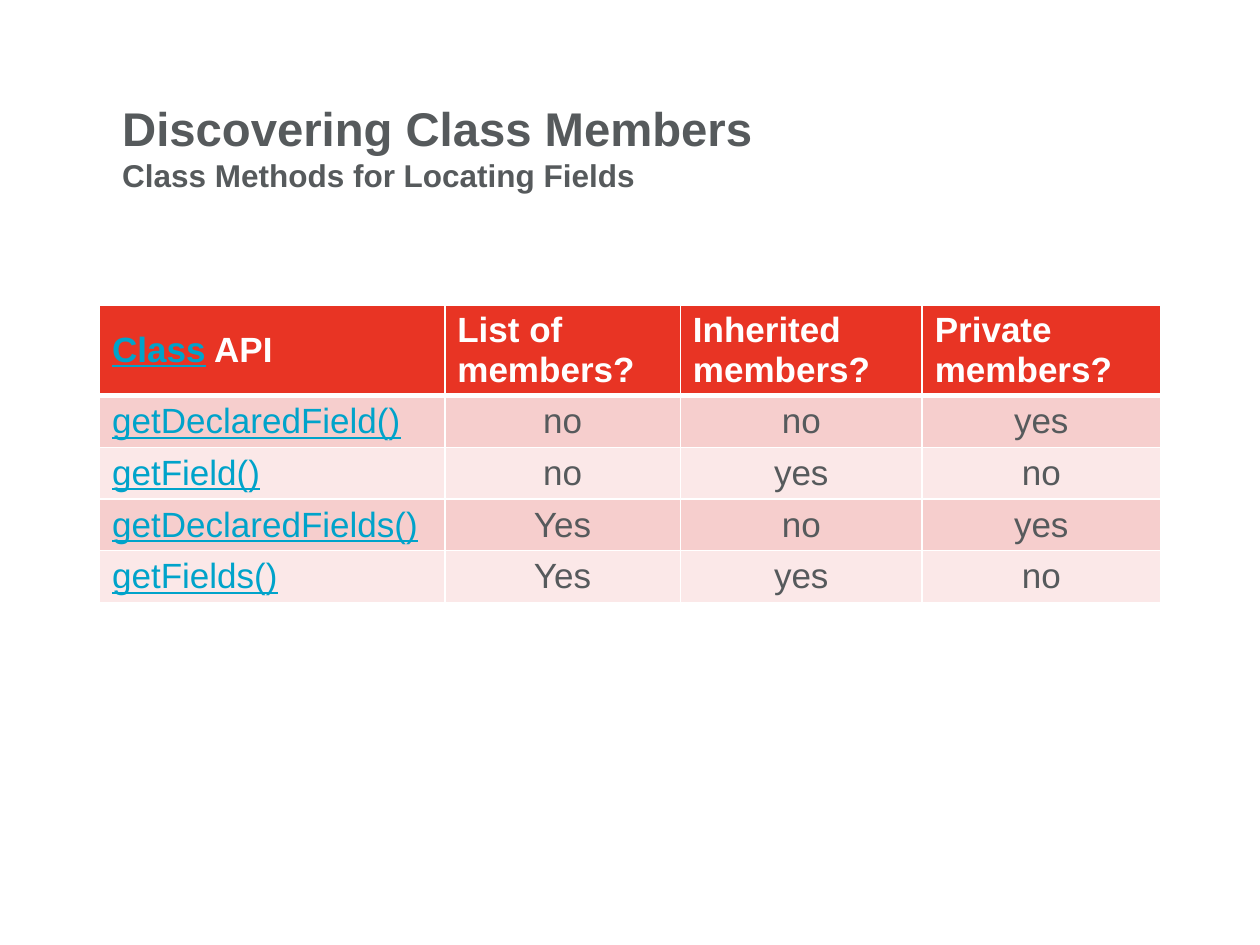
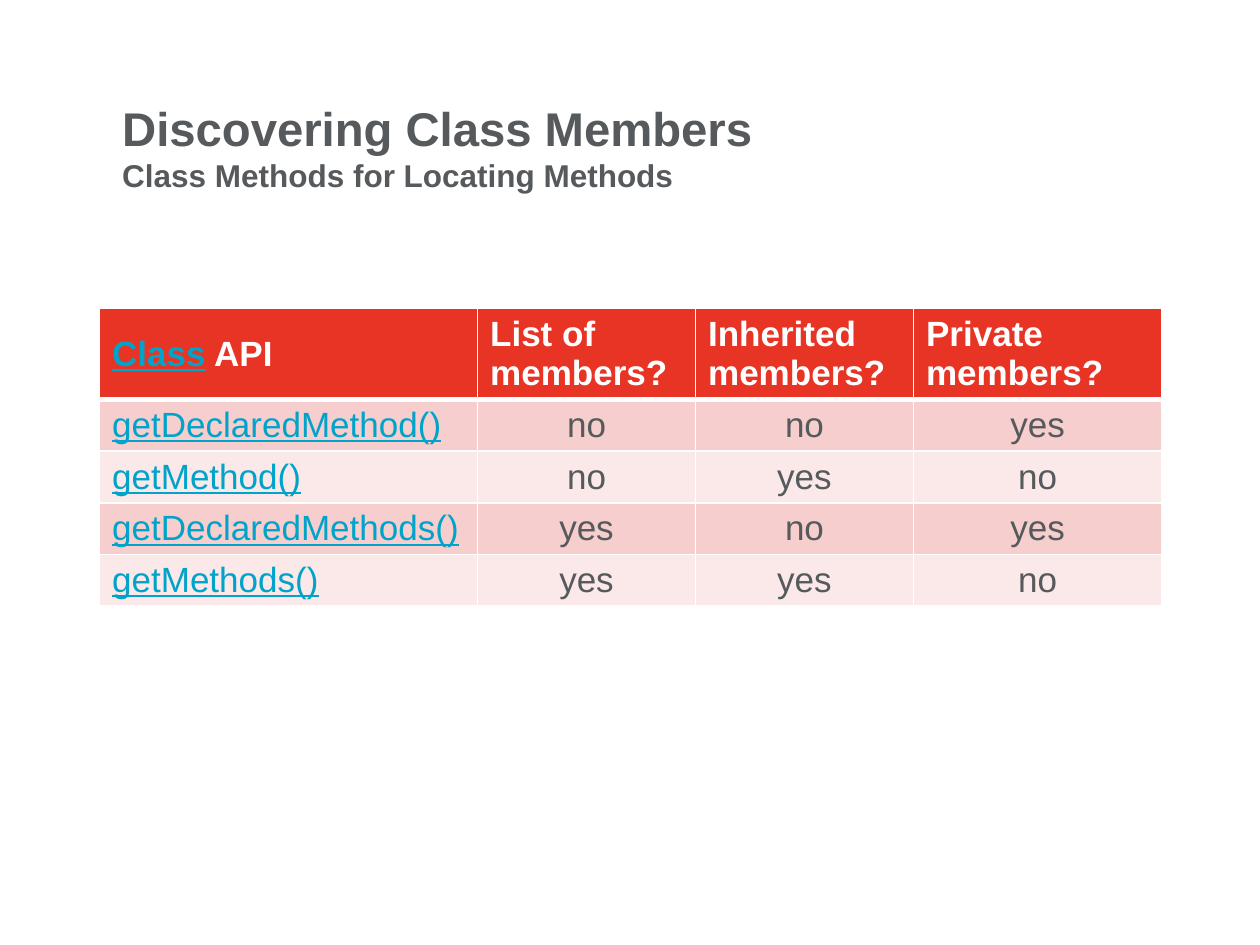
from copy import deepcopy
from dataclasses import dataclass

from lxml.etree import SubElement
from pptx import Presentation
from pptx.dml.color import RGBColor as Rgb
from pptx.enum.text import MSO_ANCHOR as Anchor, MSO_AUTO_SIZE as AutoSize, PP_ALIGN as Align
from pptx.oxml import parse_xml
from pptx.oxml.ns import nsdecls, qn
from pptx.util import Inches, Pt


@dataclass(frozen=True)
class Theme:
    """Colours, type sizes and line widths that the slides share."""
    font: str = "Arial"
    text: str = "565A5C"
    link: str = "00A3CA"
    white: str = "FFFFFF"
    header: str = "E83424"
    bands: tuple = ("F6CECD", "FBE8E8")
    title_size: int = 27
    subtitle_size: int = 18
    table_size: int = 20
    rule: int = 1
    header_rule: int = 3


THEME = Theme()
SLIDE_SIZE = (10, 7.5)
TITLE_BOX = (0.93, 0.84, 6.17, 0.65)
TABLE_LEFT = 0.79
HEADER_HEIGHT, ROW_HEIGHT = 0.71, 0.41
TITLE = "Discovering Class Members"
QUESTIONS = ("List of members?", "Inherited members?", "Private members?")

# subtitle, table top, column widths, answers for each method
FIELDS = ("Class Methods for Locating Fields", 2.42, (2.74, 1.87, 1.92, 1.89), (
    ("getDeclaredField()", "no", "no", "yes"),
    ("getField()", "no", "yes", "no"),
    ("getDeclaredFields()", "Yes", "no", "yes"),
    ("getFields()", "Yes", "yes", "no"),
))
METHODS = ("Class Methods for Locating Methods", 2.45, (3, 1.73, 1.73, 1.97), (
    ("getDeclaredMethod()", "no", "no", "yes"),
    ("getMethod()", "no", "yes", "no"),
    ("getDeclaredMethods()", "yes", "no", "yes"),
    ("getMethods()", "yes", "yes", "no"),
))


def add_run(paragraph, text, size, color, bold=False, underline=False):
    """Append one formatted run and return it."""
    run = paragraph.add_run()
    run.text = text
    font = run.font
    font.name, font.size = THEME.font, Pt(size)
    font.bold, font.underline = bold, underline
    font.color.rgb = Rgb.from_string(color)
    return run


def add_title(slide, subtitle):
    """Place the title with its smaller second line."""
    title = slide.shapes.title
    title.left, title.top, title.width, title.height = map(Inches, TITLE_BOX)
    title.fill.solid()
    title.fill.fore_color.rgb = Rgb.from_string(THEME.white)
    frame = title.text_frame
    frame.word_wrap, frame.auto_size = True, AutoSize.NONE
    frame.vertical_anchor = Anchor.MIDDLE
    frame.margin_left = Inches(0.04)
    frame.margin_top = frame.margin_right = frame.margin_bottom = 0
    heading = frame.paragraphs[0]
    heading.alignment = Align.LEFT
    add_run(heading, TITLE, THEME.title_size, THEME.text, bold=True)
    heading.add_line_break()
    second = add_run(heading, subtitle, THEME.subtitle_size, THEME.text, bold=True)
    line_break = heading._p.find(qn("a:br"))
    line_break.append(deepcopy(second._r.rPr))


def set_borders(cell, top, bottom):
    """Draw the white rules of a cell; top and bottom are widths in points."""
    properties = cell._tc.get_or_add_tcPr()
    widths = {"L": THEME.rule, "R": THEME.rule, "T": top, "B": bottom}
    for place, (side, width) in enumerate(widths.items()):
        line = parse_xml(f'<a:ln{side} {nsdecls("a")} w="{Pt(width)}"/>')
        fill = SubElement(line, qn("a:solidFill"))
        SubElement(fill, qn("a:srgbClr"), val=THEME.white)
        properties.insert(place, line)


def style_cell(cell, row):
    """Set the fill, anchor and rules that depend on the row."""
    cell.vertical_anchor = Anchor.MIDDLE
    cell.fill.solid()
    color = THEME.bands[(row - 1) % 2] if row else THEME.header
    cell.fill.fore_color.rgb = Rgb.from_string(color)
    set_borders(cell,
                top=THEME.header_rule if row == 1 else THEME.rule,
                bottom=THEME.header_rule if row == 0 else THEME.rule)


def fill_header(cells):
    """Write the header row."""
    api, *question_cells = [cell.text_frame.paragraphs[0] for cell in cells]
    add_run(api, "Class", THEME.table_size, THEME.link, bold=True, underline=True)
    add_run(api, " API", THEME.table_size, THEME.white, bold=True)
    for paragraph, question in zip(question_cells, QUESTIONS):
        add_run(paragraph, question, THEME.table_size, THEME.white, bold=True)


def fill_method(cells, method, *answers):
    """Write one method name and its centred answers."""
    name, *answer_cells = [cell.text_frame.paragraphs[0] for cell in cells]
    add_run(name, method, THEME.table_size, THEME.link, underline=True)
    for paragraph, answer in zip(answer_cells, answers):
        paragraph.alignment = Align.CENTER
        add_run(paragraph, answer, THEME.table_size, THEME.text)


def add_api_table(slide, top, widths, methods):
    """Add the table that compares the lookup methods."""
    heights = [HEADER_HEIGHT] + [ROW_HEIGHT] * len(methods)
    table = slide.shapes.add_table(
        len(heights), len(widths), Inches(TABLE_LEFT), Inches(top),
        Inches(sum(widths)), Inches(sum(heights))).table
    for column, width in zip(table.columns, widths):
        column.width = Inches(width)
    for index, (row, height) in enumerate(zip(table.rows, heights)):
        row.height = Inches(height)
        for cell in row.cells:
            style_cell(cell, index)
    header, *body = table.rows
    fill_header(header.cells)
    for row, method in zip(body, methods):
        fill_method(row.cells, *method)


def main():
    """Build both slides and save them."""
    deck = Presentation()
    deck.slide_width, deck.slide_height = map(Inches, SLIDE_SIZE)
    title_only = deck.slide_layouts[5]
    for subtitle, top, widths, methods in (FIELDS, METHODS):
        slide = deck.slides.add_slide(title_only)
        add_title(slide, subtitle)
        add_api_table(slide, top, widths, methods)
    deck.save("out.pptx")


main()
